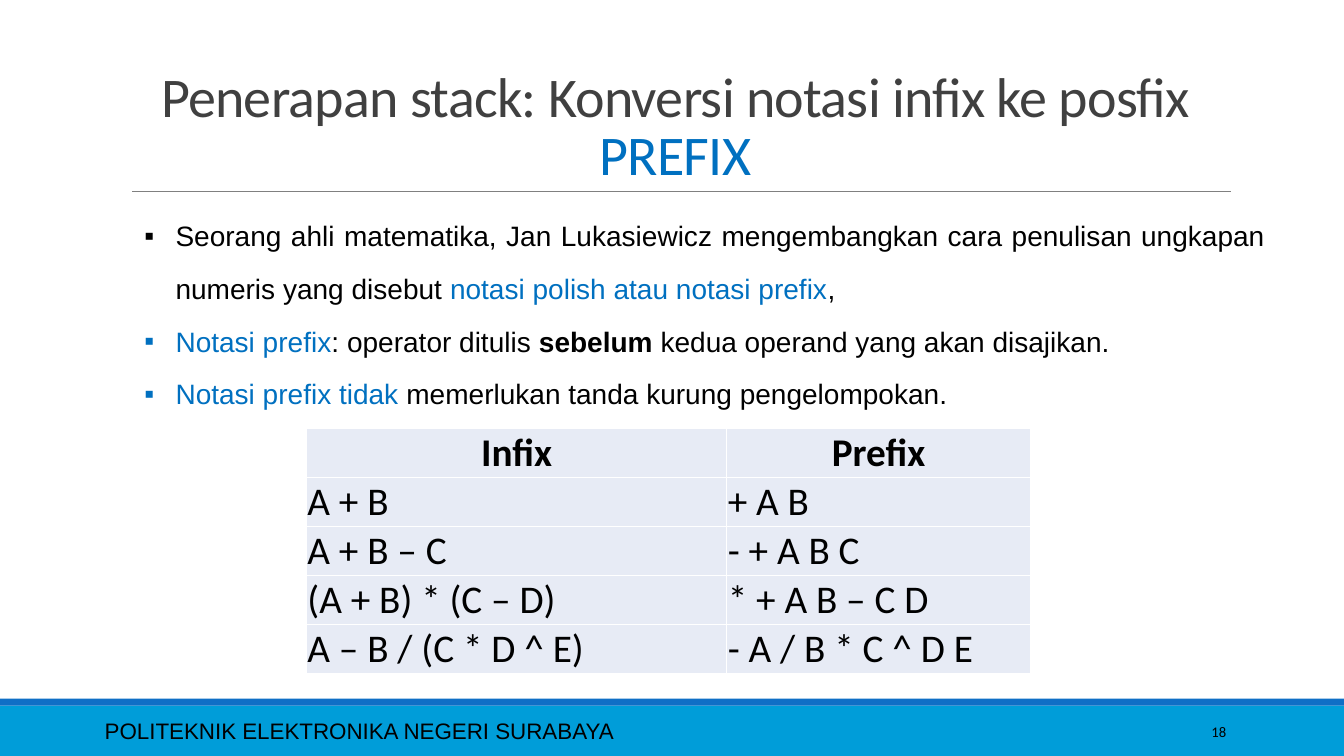
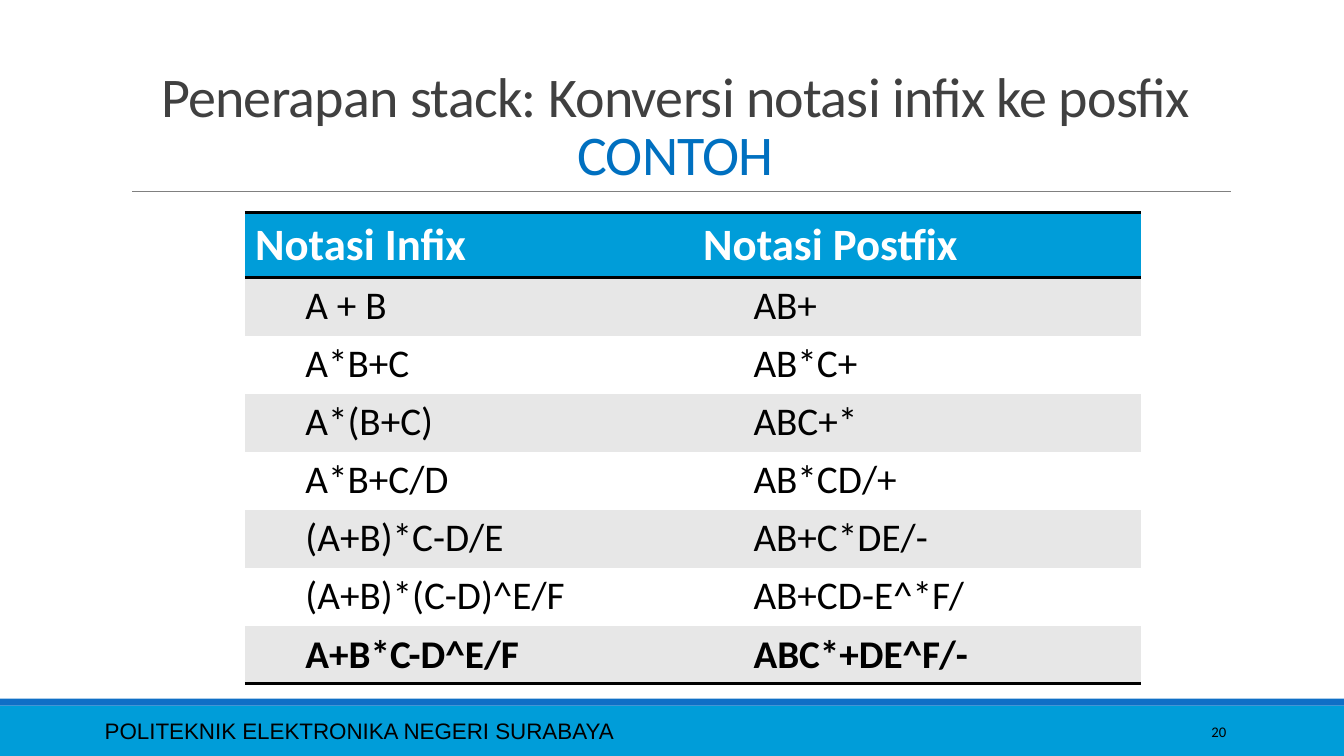
from lxml import etree
from pptx import Presentation
from pptx.dml.color import RGBColor
from pptx.enum.shapes import MSO_CONNECTOR, MSO_SHAPE
from pptx.enum.text import MSO_ANCHOR, MSO_AUTO_SIZE, PP_ALIGN
from pptx.oxml.ns import qn
from pptx.util import Inches, Pt

LEFT, CENTER, RIGHT, JUSTIFY = (
    PP_ALIGN.LEFT, PP_ALIGN.CENTER, PP_ALIGN.RIGHT, PP_ALIGN.JUSTIFY)
TOP, MIDDLE, BOTTOM = MSO_ANCHOR.TOP, MSO_ANCHOR.MIDDLE, MSO_ANCHOR.BOTTOM
NO_AUTOFIT = MSO_AUTO_SIZE.NONE
RECT, STRAIGHT = MSO_SHAPE.RECTANGLE, MSO_CONNECTOR.STRAIGHT

BLACK = RGBColor(0x00, 0x00, 0x00)
WHITE = RGBColor(0xFF, 0xFF, 0xFF)
CYAN = RGBColor(0x00, 0x9D, 0xD9)
BLUE = RGBColor(0x0F, 0x6F, 0xC6)
ACCENT = RGBColor(0x00, 0x70, 0xC0)
CHARCOAL = RGBColor(0x40, 0x40, 0x40)
RULE_GRAY = RGBColor(0x80, 0x80, 0x80)
PALE_BLUE = RGBColor(0xE7, 0xEB, 0xF5)
PALE_GRAY = RGBColor(0xE7, 0xE7, 0xE7)

HEAD_FONT, BODY_FONT = "Calibri", "Arial"
SLIDE_W, SLIDE_H = Inches(13.33), Inches(7.5)
PLAIN_TABLE = "{2D5ABB26-0587-4C30-8999-92F81FD0307C}"
TITLE = "Penerapan stack: Konversi notasi infix ke posfix"
SCHOOL = "POLITEKNIK ELEKTRONIKA NEGERI SURABAYA"

PREFIX_POINTS = [
    [("Seorang ahli matematika, Jan Lukasiewicz mengembangkan cara penulisan "
      "ungkapan numeris yang disebut ", BLACK, False),
     ("notasi polish atau notasi prefix", ACCENT, False),
     (",", BLACK, False)],
    [("Notasi prefix", ACCENT, False),
     (": operator ditulis ", BLACK, False),
     ("sebelum ", BLACK, True),
     ("kedua operand yang akan disajikan.", BLACK, False)],
    [("Notasi prefix tidak ", ACCENT, False),
     ("memerlukan tanda kurung pengelompokan.", BLACK, False)],
]
PREFIX_ROWS = [
    ("Infix", "Prefix"),
    ("A + B", "+ A B"),
    ("A + B – C", "- + A B C"),
    ("(A + B) * (C – D)", "* + A B – C D"),
    ("A – B / (C * D ^ E)", "- A / B * C ^ D E"),
]
POSTFIX_ROWS = [
    ("Notasi Infix", "Notasi Postfix"),
    ("A + B", "AB+"),
    ("A*B+C", "AB*C+"),
    ("A*(B+C)", "ABC+*"),
    ("A*B+C/D", "AB*CD/+"),
    ("(A+B)*C-D/E", "AB+C*DE/-"),
    ("(A+B)*(C-D)^E/F", "AB+CD-E^*F/"),
    ("A+B*C-D^E/F", "ABC*+DE^F/-"),
]


def x(percent):
    return round(SLIDE_W * percent / 100)


def y(percent):
    return round(SLIDE_H * percent / 100)


def box(left, top, width, height):
    return x(left), y(top), x(width), y(height)


def style_run(r, size, color, font, bold=False):
    r.font.size = Pt(size)
    r.font.name = font
    r.font.bold = bold
    r.font.color.rgb = color


def add_band(s, color, top, height):
    sp = s.shapes.add_shape(RECT, *box(0, top, 100, height))
    sp.shadow.inherit = False
    sp.fill.solid()
    sp.fill.fore_color.rgb = color
    sp.line.fill.background()


def add_rule(s, left, right, top):
    line = s.shapes.add_connector(STRAIGHT, x(left), y(top), x(right), y(top))
    line.line.color.rgb = RULE_GRAY
    line.line.width = Pt(0.5)
    etree.SubElement(line.element.spPr, qn("a:effectLst"))


def add_text(s, area, anchor=TOP):
    tf = s.shapes.add_textbox(*box(*area)).text_frame
    tf.word_wrap = True
    tf.auto_size = NO_AUTOFIT
    tf.vertical_anchor = anchor
    return tf


def add_label(s, text, area, size, font, align=LEFT):
    p = add_text(s, area, MIDDLE).paragraphs[0]
    p.text = text
    p.alignment = align
    style_run(p.runs[0], size, BLACK, font)


def set_title(s, topic):
    title = s.shapes.title
    title.left, title.top, title.width, title.height = box(9, 4.13, 82.5, 21.2)
    tf = title.text_frame
    tf.word_wrap = True
    tf.auto_size = NO_AUTOFIT
    tf.vertical_anchor = BOTTOM
    p = tf.paragraphs[0]
    p.text = f"{TITLE}\v{topic}"
    p.alignment = CENTER
    p.line_spacing = 0.85
    for r, color in zip(p.runs, (CHARCOAL, ACCENT)):
        style_run(r, 40, color, HEAD_FONT)
        r.font._element.set("spc", "-50")


def add_slide(prs, topic, number):
    s = prs.slides.add_slide(prs.slide_layouts[5])
    add_band(s, CYAN, 93.33, 6.67)
    add_band(s, BLUE, 92.4, 0.93)
    add_rule(s, 9.83, 91.6, 25.33)
    add_label(s, SCHOOL, (7.05, 94, 63.1, 5.33), 16, BODY_FONT)
    add_label(s, str(number), (81.25, 94.13, 10.73, 5.33), 10.5, HEAD_FONT, RIGHT)
    set_title(s, topic)
    return s


def set_bullet(p, char, indent):
    pPr = p._p.get_or_add_pPr()
    pPr.set("marL", str(indent))
    pPr.set("indent", str(-indent))
    etree.SubElement(pPr, qn("a:buFont")).set("typeface", BODY_FONT)
    etree.SubElement(pPr, qn("a:buChar")).set("char", char)


def add_bullets(s, points, area):
    tf = add_text(s, area)
    for i, point in enumerate(points):
        p = tf.add_paragraph() if i else tf.paragraphs[0]
        p.alignment = JUSTIFY
        p.line_spacing = 1.57
        set_bullet(p, "▪", Inches(0.31))
        for text, color, bold in point:
            r = p.add_run()
            r.text = text
            style_run(r, 20, color, BODY_FONT, bold)


def set_borders(cell, sides, color, width):
    tcPr = cell._tc.get_or_add_tcPr()
    for side in sides:
        ln = etree.SubElement(tcPr, qn(f"a:ln{side}"), w=str(Pt(width)))
        fill = etree.SubElement(ln, qn("a:solidFill"))
        etree.SubElement(fill, qn("a:srgbClr"), val=str(color))


def add_grid(s, rows, left, top, widths, heights, format_cell):
    area = box(left, top, sum(widths), sum(heights))
    frame = s.shapes.add_table(len(rows), len(widths), *area)
    frame.element.find(".//" + qn("a:tableStyleId")).text = PLAIN_TABLE
    table = frame.table
    table.first_row = table.horz_banding = False
    for column, width in zip(table.columns, widths):
        column.width = x(width)
    for i, (row, height) in enumerate(zip(table.rows, heights)):
        row.height = y(height)
        for cell, text in zip(row.cells, rows[i]):
            cell.text = text
            format_cell(cell, i, len(rows) - 1)


def fill_cell(cell, color):
    cell.fill.solid()
    cell.fill.fore_color.rgb = color


def format_prefix_cell(cell, i, last):
    cell.margin_left = cell.margin_right = cell.margin_top = Inches(0.01)
    cell.margin_bottom = 0
    cell.vertical_anchor = MIDDLE
    p = cell.text_frame.paragraphs[0]
    p.alignment = JUSTIFY if i else CENTER
    style_run(p.runs[0], 28, BLACK, HEAD_FONT, bold=i == 0)
    set_borders(cell, "LRTB", WHITE, 1)
    fill_cell(cell, PALE_BLUE)


def format_postfix_cell(cell, i, last):
    r = cell.text_frame.paragraphs[0].runs[0]
    if i == 0:
        style_run(r, 32, WHITE, HEAD_FONT, bold=True)
        set_borders(cell, "TB", BLACK, 2)
        fill_cell(cell, CYAN)
        return
    cell.margin_left = Inches(0.6)
    style_run(r, 28, BLACK, HEAD_FONT, bold=i == last)
    if i == last:
        set_borders(cell, "B", BLACK, 2)
    fill_cell(cell, PALE_GRAY if i % 2 else WHITE)


def main():
    prs = Presentation()
    prs.slide_width, prs.slide_height = SLIDE_W, SLIDE_H

    s = add_slide(prs, "PREFIX", 18)
    add_bullets(s, PREFIX_POINTS, (10, 25.73, 84.9, 55.2))
    add_grid(s, PREFIX_ROWS, 22.8, 56.67, [31.28, 22.58],
             [6.37] * len(PREFIX_ROWS), format_prefix_cell)

    s = add_slide(prs, "CONTOH", 20)
    add_grid(s, POSTFIX_ROWS, 18.23, 28.13, [33.34] * 2,
             [8.53] + [7.67] * (len(POSTFIX_ROWS) - 1), format_postfix_cell)

    prs.save("out.pptx")


if __name__ == "__main__":
    main()
